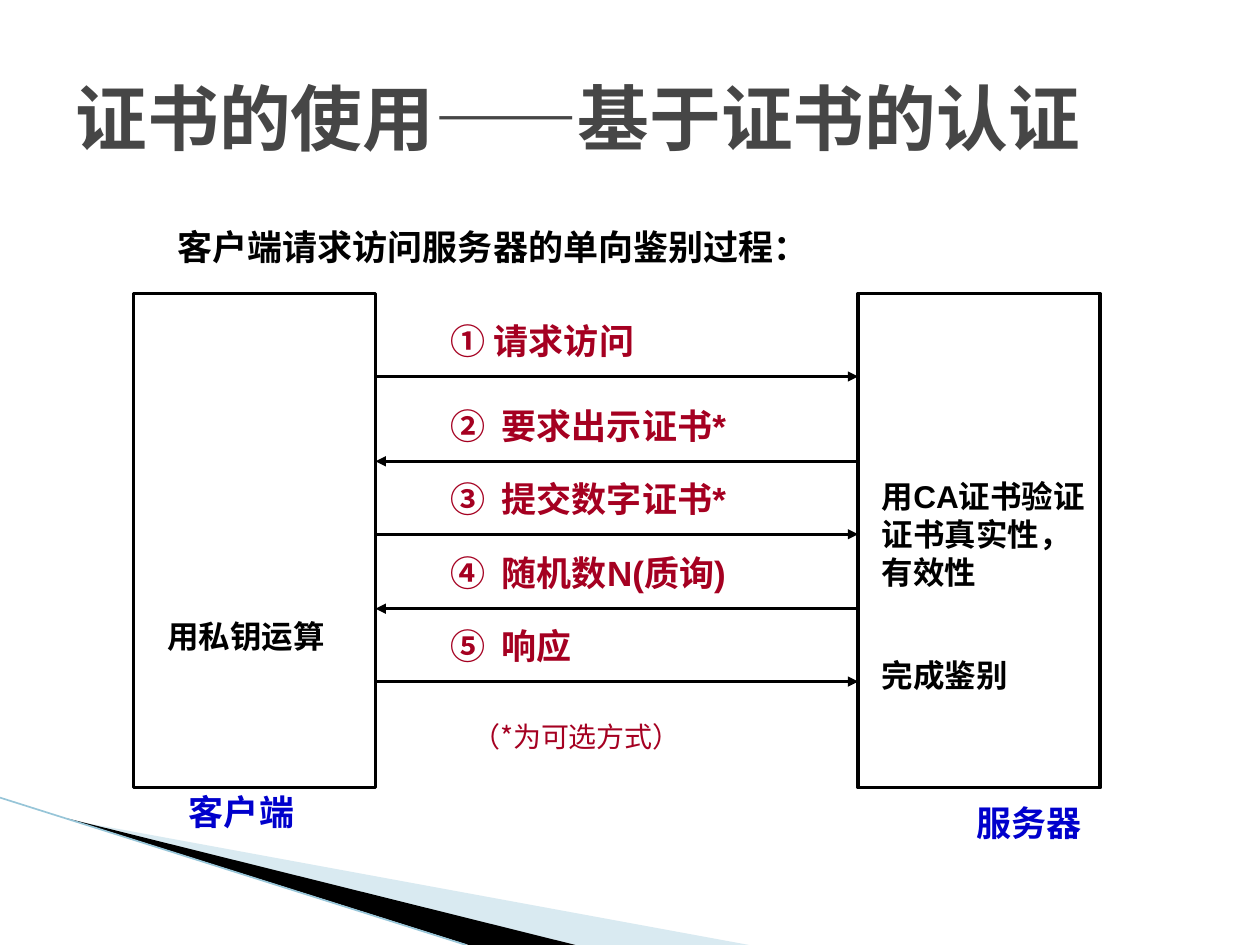
from lxml.etree import SubElement
from pptx import Presentation
from pptx.dml.color import RGBColor
from pptx.enum.shapes import MSO_CONNECTOR as Connector, MSO_SHAPE as Shape
from pptx.enum.text import MSO_ANCHOR as Anchor, PP_ALIGN as Align
from pptx.oxml.ns import qn
from pptx.util import Cm, Pt

BLACK, RED, BLUE = "000000", "A50021", "0000CC"
CJK = "Noto Sans CJK SC"
color = RGBColor.from_string


def write(frame, *texts, size=20, fill=BLACK, bold=True, fonts=("Arial",), wrap=True):
    """Fill a text frame with one left-aligned paragraph, one run per text."""
    frame.word_wrap = wrap
    para = frame.paragraphs[0]
    para.alignment = Align.LEFT
    for text, name in zip(texts, fonts):
        span = para.add_run()
        span.text = text
        span.font.name, span.font.size, span.font.bold = name, Pt(size), bold
        span.font.color.rgb = color(fill)
        SubElement(span.font._element, qn("a:ea"), typeface=CJK)


def draw_line(start, end, fill, width, arrow=False):
    line = page.shapes.add_connector(Connector.STRAIGHT, *map(Cm, start + end))
    line.line.color.rgb = color(fill)
    line.line.width = Pt(width)
    if arrow:
        SubElement(line.line._get_or_add_ln(), qn("a:tailEnd"), type="triangle")
    SubElement(line._element.spPr, qn("a:effectLst"))


deck = Presentation()
deck.slide_width, deck.slide_height = Cm(25.4), Cm(19.05)
page = deck.slides.add_slide(deck.slide_layouts[5])

# Corner decoration
wedges = [
    ("A0CBDC", 40, [(1.4, 16.53), (15.1, 19.05), (11.58, 19.05)]),
    (BLACK, 100, [(1.36, 16.5), (11.6, 19.05), (9.45, 19.05)]),
]
for fill, opacity, points in wedges:
    corners = [(Cm(x), Cm(y)) for x, y in points]
    builder = page.shapes.build_freeform(*corners[0])
    builder.add_line_segments(corners[1:], close=True)
    wedge = builder.convert_to_shape()
    wedge.shadow.inherit = False
    wedge.fill.solid()
    wedge.fill.fore_color.rgb = color(fill)
    wedge.line.fill.background()
    if opacity < 100:
        tint = wedge._element.spPr.find(".//" + qn("a:srgbClr"))
        SubElement(tint, qn("a:alpha"), val=str(opacity * 1000))
draw_line((0, 16.08), (9.4, 19.05), "97C5D8", 0.95)

# Title
title = page.shapes.title
title.left, title.top, title.width, title.height = Cm(1.27), Cm(0.76), Cm(22.86), Cm(3.18)
title.fill.solid()
title.fill.fore_color.rgb = color("FFFFFF")
title.text_frame.vertical_anchor = Anchor.MIDDLE
write(title.text_frame, "证书的使用——基于证书的认证", size=41, fill="464646",
      fonts=("DejaVu Sans Mono",))

# Client and server boxes
client_left, server_left, box_width = 2.69, 17.3, 4.88
for left in (client_left, server_left):
    box = page.shapes.add_shape(Shape.RECTANGLE, Cm(left), Cm(5.92), Cm(box_width), Cm(9.96))
    box.shadow.inherit = False
    box.fill.background()
    box.line.color.rgb = color(BLACK)
    box.line.width = Pt(2)

# Messages, sent in turn by client and server
messages = [
    (7.59, 6.99, ["① 请求访问"], ["Arial"]),
    (9.3, 6.78, ["②  要求出示证书*"], ["Arial"]),
    (10.77, 7.42, ["③  提交数字证书*"], ["Arial"]),
    (12.27, 7.82, ["④  ", "随机数N(质询)"], [CJK, "Arial"]),
    (13.74, 6.99, ["⑤  ", "响应"], [CJK, "Arial"]),
]
for number, (y, width, texts, fonts) in enumerate(messages):
    ends = [(client_left + box_width, y), (server_left, y)]
    if number % 2:
        ends.reverse()
    draw_line(*ends, BLACK, 1.75, arrow=True)
    label = page.shapes.add_textbox(Cm(8.84), Cm(y - 1.27), Cm(width), Cm(1.1))
    write(label.text_frame, *texts, fill=RED, fonts=fonts)

# Captions and notes
notes = [
    ("客户端请求访问服务器的单向鉴别过程：", 3.33, 4.42, 14.17, 1.1, {}),
    ("客户端", 3.56, 15.82, 2.64, 1.1, dict(fill=BLUE, wrap=False)),
    ("服务器", 19.43, 16.03, 2.64, 1.1, dict(fill=BLUE, wrap=False)),
    ("用CA证书验证证书真实性，有效性", 17.53, 9.5, 4.8, 2.54, dict(size=18)),
    ("完成鉴别", 17.53, 13.11, 4.24, 1.02, dict(size=18)),
    ("用私钥运算", 3.12, 12.32, 4.24, 1.02, dict(size=18)),
    ("（*为可选方式）", 9.27, 14.38, 5.08, 0.94,
     dict(size=16, fill=RED, bold=False, fonts=(CJK,))),
]
for text, left, top, width, height, style in notes:
    note = page.shapes.add_textbox(Cm(left), Cm(top), Cm(width), Cm(height))
    write(note.text_frame, text, **style)

deck.save("out.pptx")
